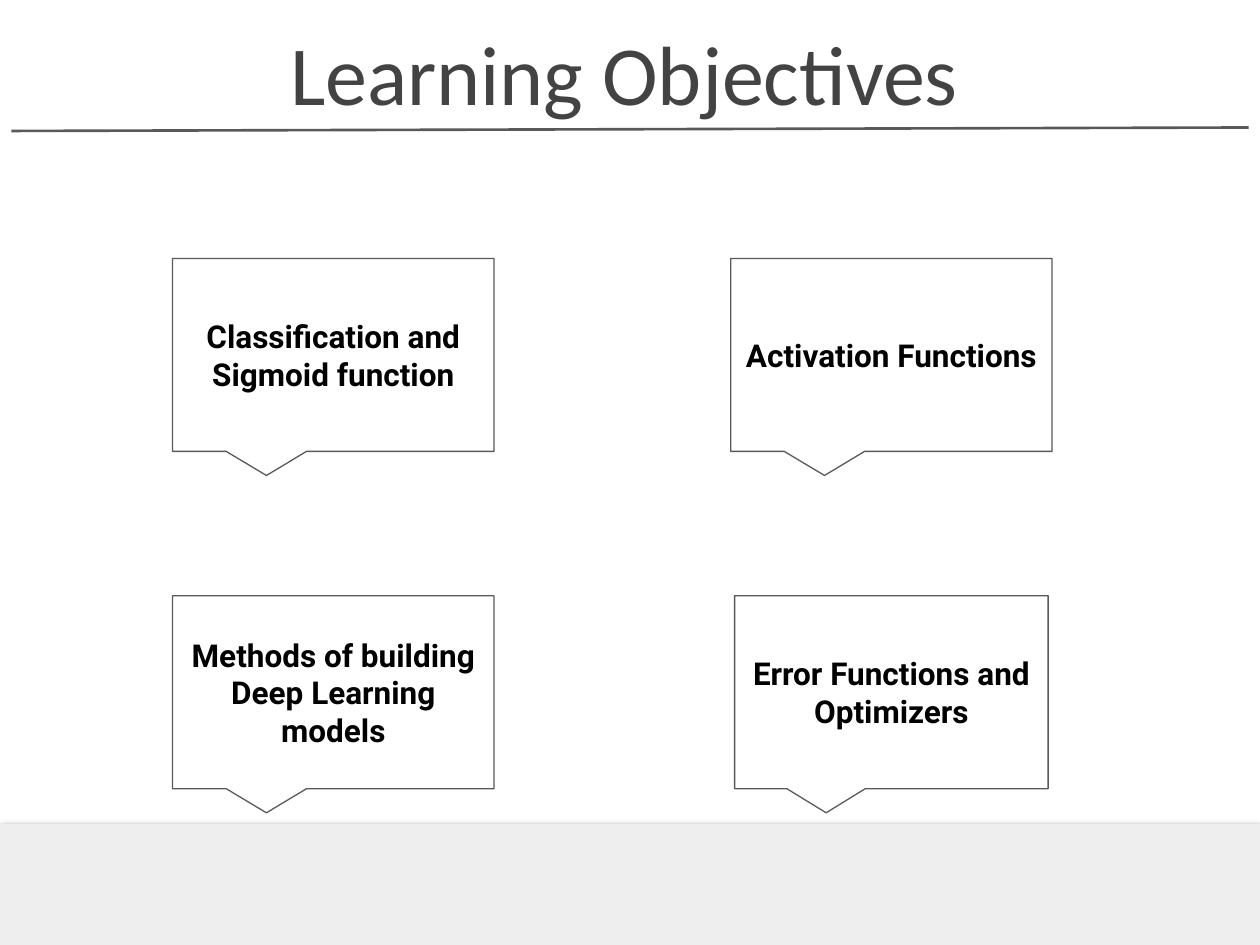
from lxml.etree import SubElement
from pptx import Presentation
from pptx.dml.color import RGBColor
from pptx.enum.shapes import MSO_CONNECTOR, MSO_SHAPE
from pptx.enum.text import MSO_ANCHOR, PP_ALIGN
from pptx.oxml import parse_xml
from pptx.oxml.ns import nsdecls, qn
from pptx.util import Cm, Pt

BLACK = RGBColor(0x00, 0x00, 0x00)
DARK = RGBColor(0x43, 0x43, 0x43)
GRAY = RGBColor(0x59, 0x59, 0x59)
PALE = RGBColor(0xEE, 0xEE, 0xEE)

HEAD = {"name": "Calibri", "size": Pt(48), "bold": False}
BODY = {"name": "Roboto", "size": Pt(18), "bold": True}
TAIL = (-0.208, 0.625, 0)

LEFT, TOP, LOW = 3.48, 5.21, 12.01
WIDE, HIGH = 6.48, 3.89
GOALS = [
    ("Classification and Sigmoid function", LEFT, TOP, WIDE),
    ("Error Functions and Optimizers", 14.81, LOW, 6.32),
    ("Methods of building Deep Learning models", LEFT, LOW, WIDE),
    ("Activation Functions", 14.73, TOP, WIDE),
]

SHADE = f"""<a:effectLst {nsdecls('a')}>
  <a:outerShdw blurRad="57150" dist="19050" dir="5400000" algn="bl" rotWithShape="0">
    <a:srgbClr val="000000"><a:alpha val="50000"/></a:srgbClr>
  </a:outerShdw>
</a:effectLst>"""


def write(shape, text, look, color, anchor):
    """Fill a shape with one centred paragraph."""
    frame = shape.text_frame
    format = {"word_wrap": True, "vertical_anchor": anchor}
    for side in ("left", "top", "right", "bottom"):
        format[f"margin_{side}"] = Cm(0.25)
    for key, value in format.items():
        setattr(frame, key, value)
    para = frame.paragraphs[0]
    para.alignment = PP_ALIGN.CENTER
    run = para.add_run()
    run.text = text
    for key, value in look.items():
        setattr(run.font, key, value)
    run.font.color.rgb = color


def add_rule(slide):
    rule = slide.shapes.add_connector(
        MSO_CONNECTOR.STRAIGHT, Cm(0.23), Cm(2.64), Cm(25.17), Cm(2.57))
    rule.line.color.rgb = GRAY
    rule.line.width = Pt(1.5)
    SubElement(rule.element.spPr, qn("a:effectLst"))


def add_band(slide):
    """Draw the shaded footer band."""
    band = slide.shapes.add_shape(
        MSO_SHAPE.RECTANGLE, 0, Cm(16.61), Cm(25.4), Cm(2.57))
    band.fill.solid()
    band.fill.fore_color.rgb = PALE
    band.line.fill.background()
    band.element.spPr.append(parse_xml(SHADE))


def add_title(slide, text):
    box = slide.shapes.add_textbox(Cm(3.3), Cm(0.48), Cm(18.57), Cm(2.24))
    write(box, text, HEAD, DARK, MSO_ANCHOR.BOTTOM)


def add_goal(slide, text, left, top, width):
    """Draw one callout with its learning goal."""
    goal = slide.shapes.add_shape(
        MSO_SHAPE.ROUNDED_RECTANGULAR_CALLOUT,
        Cm(left), Cm(top), Cm(width), Cm(HIGH))
    for index, value in enumerate(TAIL):
        goal.adjustments[index] = value
    goal.shadow.inherit = False
    goal.fill.background()
    goal.line.color.rgb = GRAY
    goal.line.width = Pt(0.75)
    write(goal, text, BODY, BLACK, MSO_ANCHOR.MIDDLE)


def main():
    deck = Presentation()
    deck.slide_width, deck.slide_height = Cm(25.4), Cm(19.05)
    slide = deck.slides.add_slide(deck.slide_layouts[6])
    add_rule(slide)
    add_band(slide)
    add_title(slide, "Learning Objectives")
    for goal in GOALS:
        add_goal(slide, *goal)
    deck.save("out.pptx")


if __name__ == "__main__":
    main()
